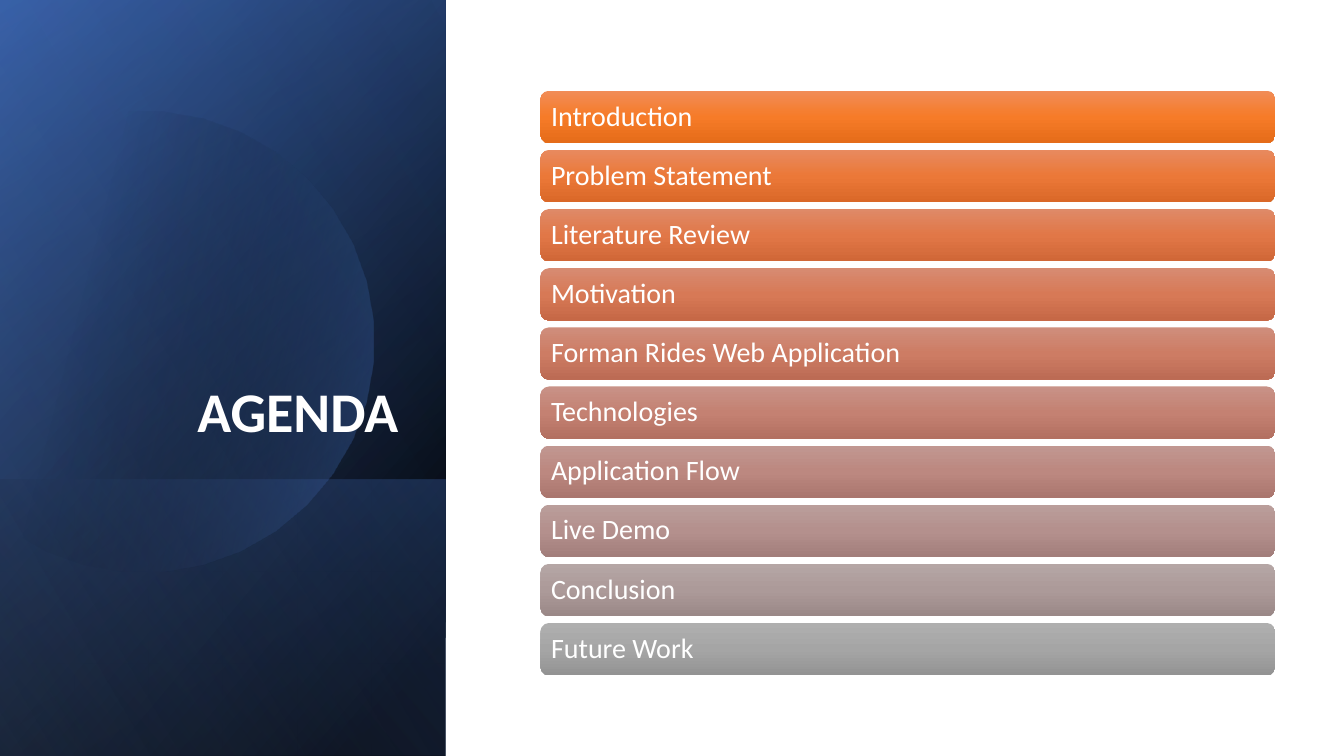
import math
from dataclasses import dataclass

from lxml import etree
from pptx import Presentation
from pptx import util as u
from pptx.dml.color import RGBColor
from pptx.enum import shapes, text
from pptx.oxml import ns

WHITE = RGBColor(0xFF, 0xFF, 0xFF)
BLACK = RGBColor(0x00, 0x00, 0x00)
NAVY = RGBColor(0x2F, 0x55, 0x97)
BLUE = RGBColor(0x44, 0x72, 0xC4)
PALE_BLUE = RGBColor(0x8F, 0xAA, 0xDC)
FONT = "Calibri"

PANEL_WIDTH = 4.42
ROW_LEFT, ROW_WIDTH, ROW_HEIGHT = 5.36, 7.29, 0.52
FIRST_TOP, LAST_TOP = 0.9, 6.18


@dataclass(frozen=True)
class Stop:
    position: int
    color: RGBColor
    opacity: int = 100


@dataclass(frozen=True)
class Panel:
    top: float
    height: float
    angle: int
    stops: tuple[Stop, ...]


@dataclass(frozen=True)
class Row:
    label: str
    light: str
    middle: str
    dark: str


BACK_PANELS = (
    Panel(0, 7.5, 50, (Stop(8, BLACK), Stop(100, NAVY))),
    Panel(0, 7.5, 30, (Stop(0, BLACK, 0), Stop(99, BLUE, 46))),
    Panel(4.76, 2.74, 130, (Stop(2, BLUE, 29), Stop(100, BLACK, 30))),
)
FRONT_PANEL = Panel(0, 7.5, 120, (Stop(0, BLACK, 0), Stop(99, PALE_BLUE, 11)))
DISC_STOPS = (Stop(29, BLACK, 0), Stop(100, BLUE, 43))

ROWS = (
    Row("Introduction", "F18C57", "F67B28", "E56C19"),
    Row("Problem Statement", "E88A5F", "EB7838", "DA6828"),
    Row("Literature Review", "DF8A68", "E17747", "D06737"),
    Row("Motivation", "D78B72", "D77956", "C66846"),
    Row("Forman Rides Web Application", "CF8E7C", "CD7C64", "BC6B54"),
    Row("Technologies", "C89287", "C48172", "B37061"),
    Row("Application Flow", "C19791", "BC8880", "AA766E"),
    Row("Live Demo", "BA9E9B", "B4908D", "A27E7B"),
    Row("Conclusion", "B5A6A5", "AC9A99", "9A8887"),
    Row("Future Work", "AFAFAF", "A5A5A5", "939393"),
)


def paint(shape, stops: tuple[Stop, ...], angle: int) -> None:
    """Give a shape a linear gradient with opacities, and no line or shadow."""
    shape.shadow.inherit = False
    shape.line.fill.background()
    shape.fill.gradient()
    gradient = shape.element.spPr.find(ns.qn("a:gradFill"))
    for child in list(gradient):
        gradient.remove(child)
    stop_list = etree.SubElement(gradient, ns.qn("a:gsLst"))
    for stop in stops:
        mark = etree.SubElement(stop_list, ns.qn("a:gs"), pos=str(stop.position * 1000))
        color = etree.SubElement(mark, ns.qn("a:srgbClr"), val=str(stop.color))
        if stop.opacity < 100:
            etree.SubElement(color, ns.qn("a:alpha"), val=str(stop.opacity * 1000))
    etree.SubElement(gradient, ns.qn("a:lin"), ang=str(angle * 60000), scaled="0")


def write(shape, wording: str, *, size: int, align, anchor, inset: float,
          bold: bool = False) -> None:
    frame = shape.text_frame
    frame.word_wrap = True
    frame.auto_size = text.MSO_AUTO_SIZE.NONE
    frame.vertical_anchor = anchor
    frame.margin_left = frame.margin_right = u.Inches(inset)
    frame.margin_top = frame.margin_bottom = u.Inches(0.05)
    para = frame.paragraphs[0]
    para.alignment = align
    para.line_spacing = 0.9
    para.space_before = u.Pt(0)
    span = para.add_run()
    span.text = wording
    span.font.name = FONT
    span.font.size = u.Pt(size)
    span.font.bold = bold
    span.font.color.rgb = WHITE


def add_backdrop(page, width: u.Length, height: u.Length) -> None:
    box = page.shapes.add_shape(shapes.MSO_SHAPE.RECTANGLE, 0, 0, width, height)
    box.shadow.inherit = False
    box.fill.solid()
    box.fill.fore_color.rgb = WHITE
    box.line.fill.background()


def add_panel(page, panel: Panel) -> None:
    """Add a mirrored rectangle, turned a quarter so it fills the left column."""
    left = (PANEL_WIDTH - panel.height) / 2
    top = panel.top + (panel.height - PANEL_WIDTH) / 2
    box = page.shapes.add_shape(
        shapes.MSO_SHAPE.RECTANGLE, u.Inches(left), u.Inches(top),
        u.Inches(panel.height), u.Inches(PANEL_WIDTH))
    box.rotation = 90
    box.element.spPr.xfrm.set("flipH", "1")
    paint(box, panel.stops, panel.angle)


def add_disc(page) -> None:
    """Add the circle whose left side is cut off by a straight edge."""
    center_x, center_y, radius = (u.Inches(value) for value in (1.42, 3.39, 2.29))
    points = [
        (center_x + radius * math.cos(math.radians(degree)),
         center_y + radius * math.sin(math.radians(degree)))
        for degree in range(-135, 136, 10)
    ]
    builder = page.shapes.build_freeform(*points[0])
    builder.add_line_segments(points[1:], close=True)
    paint(builder.convert_to_shape(), DISC_STOPS, 14)


def add_title(page) -> None:
    title = page.shapes.title
    title.left, title.top = u.Inches(0.64), u.Inches(1.84)
    title.width, title.height = u.Inches(3.41), u.Inches(2.62)
    write(title, "AGENDA", size=40, bold=True, inset=0.1,
          align=text.PP_ALIGN.RIGHT, anchor=text.MSO_ANCHOR.BOTTOM)
    title.element.getparent().append(title.element)


def add_row(page, row: Row, top: float) -> None:
    box = page.shapes.add_shape(
        shapes.MSO_SHAPE.ROUNDED_RECTANGLE, u.Inches(ROW_LEFT), u.Inches(top),
        u.Inches(ROW_WIDTH), u.Inches(ROW_HEIGHT))
    colors = map(RGBColor.from_string, (row.light, row.middle, row.dark))
    paint(box, tuple(map(Stop, (0, 50, 100), colors)), 90)
    write(box, row.label, size=20, inset=0.08,
          align=text.PP_ALIGN.LEFT, anchor=text.MSO_ANCHOR.MIDDLE)


def main() -> None:
    deck = Presentation()
    deck.slide_width, deck.slide_height = u.Inches(13.33), u.Inches(7.5)
    page = deck.slides.add_slide(deck.slide_layouts.get_by_name("Title Only"))

    add_backdrop(page, deck.slide_width, deck.slide_height)
    for panel in BACK_PANELS:
        add_panel(page, panel)
    add_disc(page)
    add_panel(page, FRONT_PANEL)
    add_title(page)

    pitch = (LAST_TOP - FIRST_TOP) / (len(ROWS) - 1)
    for index, row in enumerate(ROWS):
        add_row(page, row, FIRST_TOP + index * pitch)
    deck.save("out.pptx")


if __name__ == "__main__":
    main()
